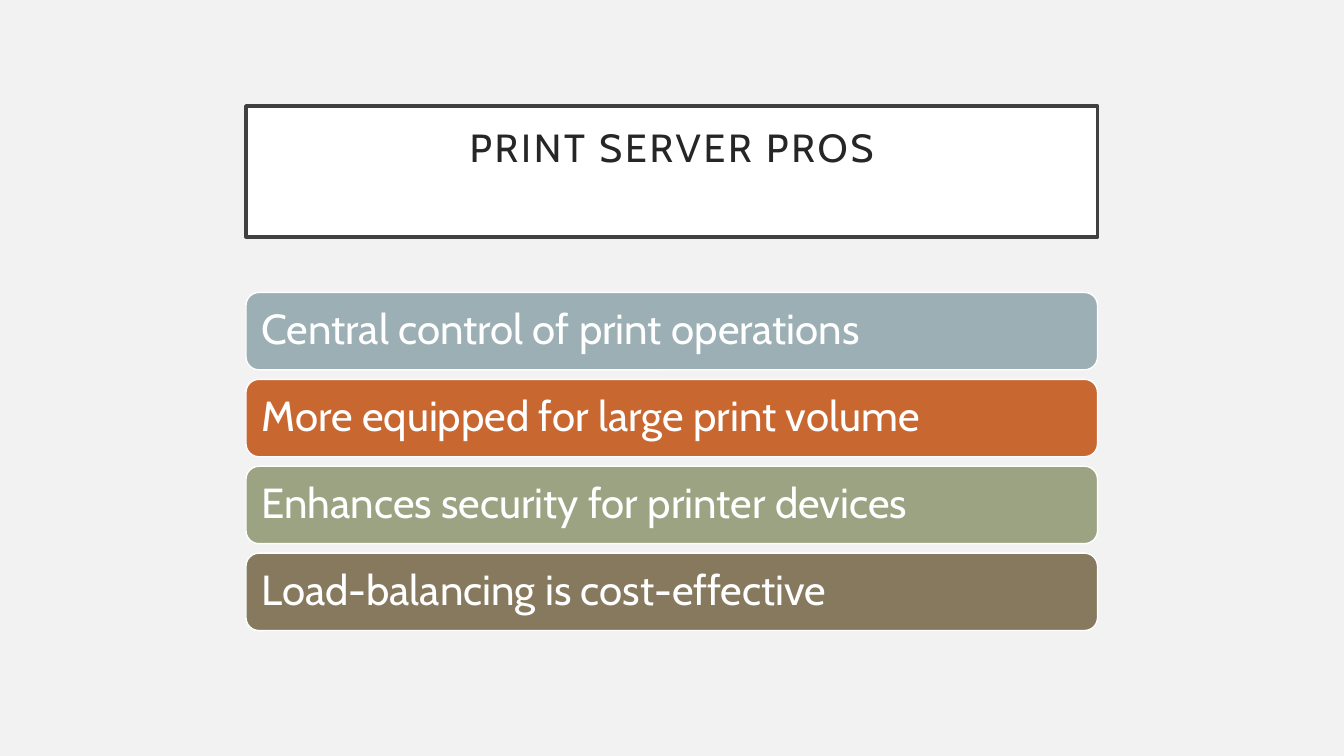
import pptx
import pptx.dml.color
import pptx.enum.shapes
import pptx.enum.text
import pptx.util

Cm = pptx.util.Cm
Pt = pptx.util.Pt
SHAPES = pptx.enum.shapes.MSO_SHAPE
ANCHORS = pptx.enum.text.MSO_ANCHOR
ALIGNMENTS = pptx.enum.text.PP_ALIGN

PROS = [
    ("Central control of print operations", "9BAFB5"),
    ("More equipped for large print volume", "C96731"),
    ("Enhances security for printer devices", "9CA383"),
    ("Load-balancing is cost-effective", "87795D"),
]


def color(hex_string):
    return pptx.dml.color.RGBColor.from_string(hex_string)


def apply(target, formats):
    for attribute, value in formats.items():
        setattr(target, attribute, value)


def add_panel(slide, kind, box, fill, line, line_width):
    """Add a flat shape; box is left, top, width and height in centimetres."""
    panel = slide.shapes.add_shape(kind, *map(Cm, box))
    panel.shadow.inherit = False
    panel.fill.solid()
    panel.fill.fore_color.rgb = color(fill)
    panel.line.color.rgb = color(line)
    panel.line.width = Pt(line_width)
    return panel


def write(panel, text, size, text_color, frame_formats, alignment):
    """Fill the panel with one paragraph and return its run."""
    apply(panel.text_frame, {"word_wrap": True, **frame_formats})
    paragraph = panel.text_frame.paragraphs[0]
    apply(paragraph, {"alignment": alignment, "line_spacing": 0.9})
    run = paragraph.add_run()
    run.text = text
    apply(run.font, {"name": "Cabin", "size": Pt(size)})
    run.font.color.rgb = color(text_color)
    return run


def add_heading(slide, box):
    heading = add_panel(slide, SHAPES.RECTANGLE, box, "FFFFFF", "404040", 2.5)
    frame_formats = {
        "vertical_anchor": ANCHORS.TOP,
        "margin_left": Cm(0.5),
        "margin_right": Cm(0.5),
        "margin_top": Cm(0.57),
    }
    run = write(heading, "PRINT SERVER PROS", 28, "262626",
                frame_formats, ALIGNMENTS.CENTER)
    run.font._element.set("spc", "200")


def add_pros(slide, box, gap):
    """Stack one bar per advantage, evenly spread over the box."""
    left, top, width, height = box
    bar_height = (height - gap * (len(PROS) - 1)) / len(PROS)
    frame_formats = {
        "vertical_anchor": ANCHORS.MIDDLE,
        **{f"margin_{side}": Cm(0.3)
           for side in ("left", "right", "top", "bottom")},
    }
    for index, (advantage, fill) in enumerate(PROS):
        bar_top = top + index * (bar_height + gap)
        bar = add_panel(slide, SHAPES.ROUNDED_RECTANGLE,
                        (left, bar_top, width, bar_height), fill, "FFFFFF", 1)
        write(bar, advantage, 30, "FFFFFF", frame_formats, ALIGNMENTS.LEFT)


def main():
    presentation = pptx.Presentation()
    apply(presentation, {"slide_width": Cm(33.87), "slide_height": Cm(19.05)})
    slide = presentation.slides.add_slide(presentation.slide_layouts[6])
    slide.background.fill.solid()
    slide.background.fill.fore_color.rgb = color("F2F2F2")

    left, width = 6.2, 21.46
    add_heading(slide, (left, 2.67, width, 3.3))
    add_pros(slide, (left, 7.37, width, 8.52), gap=0.24)
    presentation.save("out.pptx")


if __name__ == "__main__":
    main()
